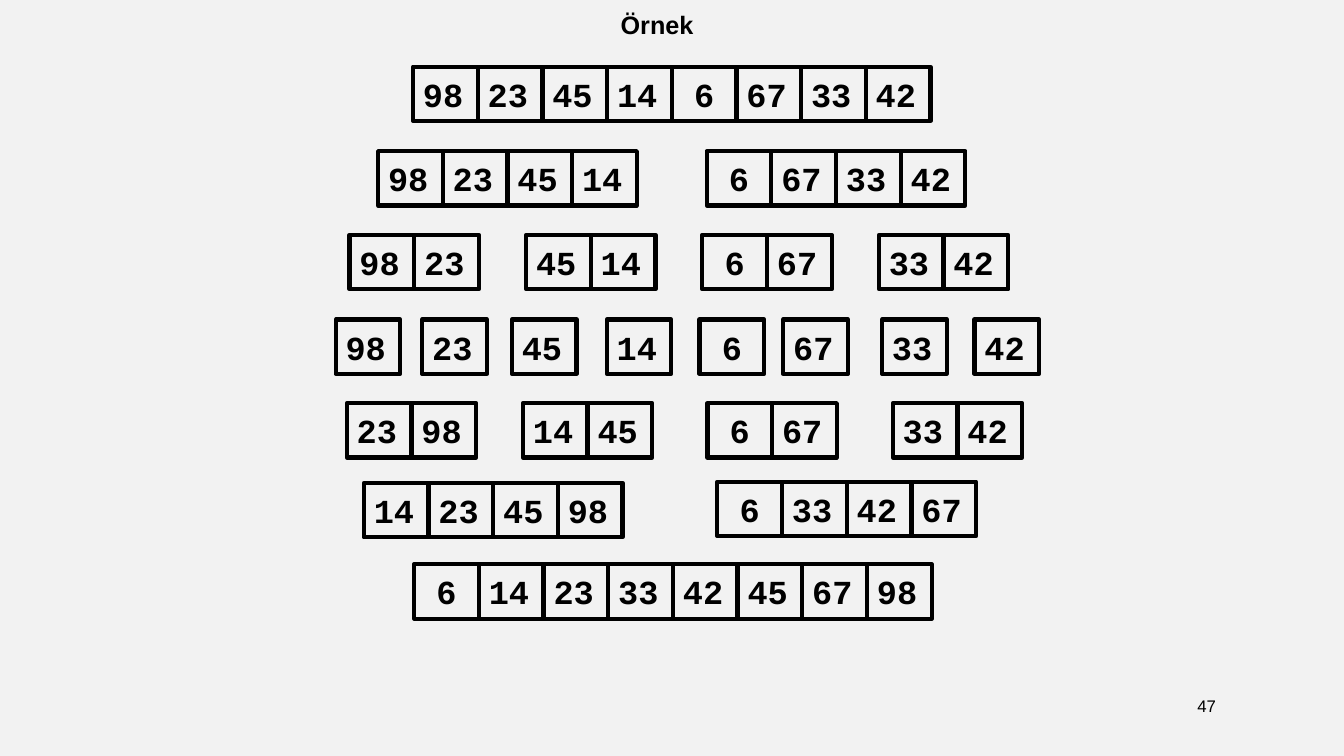
from pptx import Presentation
from pptx.dml.color import RGBColor
from pptx.enum.shapes import MSO_SHAPE
from pptx.enum.text import MSO_ANCHOR, MSO_AUTO_SIZE, PP_ALIGN
from pptx.util import Cm, Pt

RECT, OVAL = MSO_SHAPE.RECTANGLE, MSO_SHAPE.OVAL
LEFT, CENTER = PP_ALIGN.LEFT, PP_ALIGN.CENTER
MIDDLE = MSO_ANCHOR.MIDDLE
FIT_SHAPE = MSO_AUTO_SIZE.SHAPE_TO_FIT_TEXT

BLACK = RGBColor(0x00, 0x00, 0x00)
BACKGROUND = RGBColor(0xF2, 0xF2, 0xF2)

CELL_W, CELL_H = 1.63, 1.37

SORT_STEPS = [
    (1.68, [(10.41, [98, 23, 45, 14, 6, 67, 33, 42])]),
    (3.81, [(9.53, [98, 23, 45, 14]), (17.81, [6, 67, 33, 42])]),
    (5.92, [(8.81, [98, 23]), (13.26, [45, 14]),
            (17.7, [6, 67]), (22.15, [33, 42])]),
    (8.05, [(8.46, [98]), (10.64, [23]), (12.9, [45]), (15.29, [14]),
            (17.63, [6]), (19.74, [67]), (22.23, [33]), (24.56, [42])]),
    (10.16, [(8.74, [23, 98]), (13.18, [14, 45]),
             (17.83, [6, 67]), (22.5, [33, 42])]),
    (12.17, [(9.17, [14, 23, 45, 98])]),
    (12.14, [(18.08, [6, 33, 42, 67])]),
    (14.22, [(10.44, [6, 14, 23, 33, 42, 45, 67, 98])]),
]


def write_text(sp, text, font, size, bold, align):
    """Write one line of black text into a shape and return its frame."""
    tf = sp.text_frame
    tf.word_wrap = False
    p = tf.paragraphs[0]
    p.text = text
    p.alignment = align
    p.font.name = font
    p.font.size = Pt(size)
    p.font.bold = bold
    p.font.color.rgb = BLACK
    return tf


def add_title(s, x, y, w, h):
    """Place the heading in the given box."""
    sp = s.shapes.add_textbox(Cm(x), Cm(y), Cm(w), Cm(h))
    tf = write_text(sp, "Örnek", "Arial", 18, True, CENTER)
    tf.auto_size = FIT_SHAPE


def add_array(s, x, y, values):
    """Draw adjoining number cells rightwards from the given corner."""
    for i, value in enumerate(values):
        sp = s.shapes.add_shape(RECT, Cm(x + i * CELL_W), Cm(y),
                                Cm(CELL_W), Cm(CELL_H))
        sp.shadow.inherit = False
        sp.fill.background()
        sp.line.color.rgb = BLACK
        sp.line.width = Pt(3)
        align = CENTER if value < 10 else LEFT
        tf = write_text(sp, str(value), "Courier New", 24, True, align)
        tf.vertical_anchor = MIDDLE


def add_page_number(s, x, y, size):
    """Place the page number in an unlined circle."""
    sp = s.shapes.add_shape(OVAL, Cm(x), Cm(y), Cm(size), Cm(size))
    sp.shadow.inherit = False
    sp.fill.background()
    sp.line.fill.background()
    tf = write_text(sp, "47", "Arial", 12, False, CENTER)
    tf.vertical_anchor = MIDDLE
    tf.margin_left = tf.margin_right = Cm(0.05)


def main():
    """Build the merge sort example slide."""
    prs = Presentation()
    prs.slide_width, prs.slide_height = Cm(33.87), Cm(19.05)
    s = prs.slides.add_slide(prs.slide_layouts[6])
    s.background.fill.solid()
    s.background.fill.fore_color.rgb = BACKGROUND

    add_title(s, 15.39, 0.1, 2.34, 1.02)
    for y, arrays in SORT_STEPS:
        for x, values in arrays:
            add_array(s, x, y, values)
    add_page_number(s, 29.9, 17.27, 1.02)
    prs.save("out.pptx")


if __name__ == "__main__":
    main()
